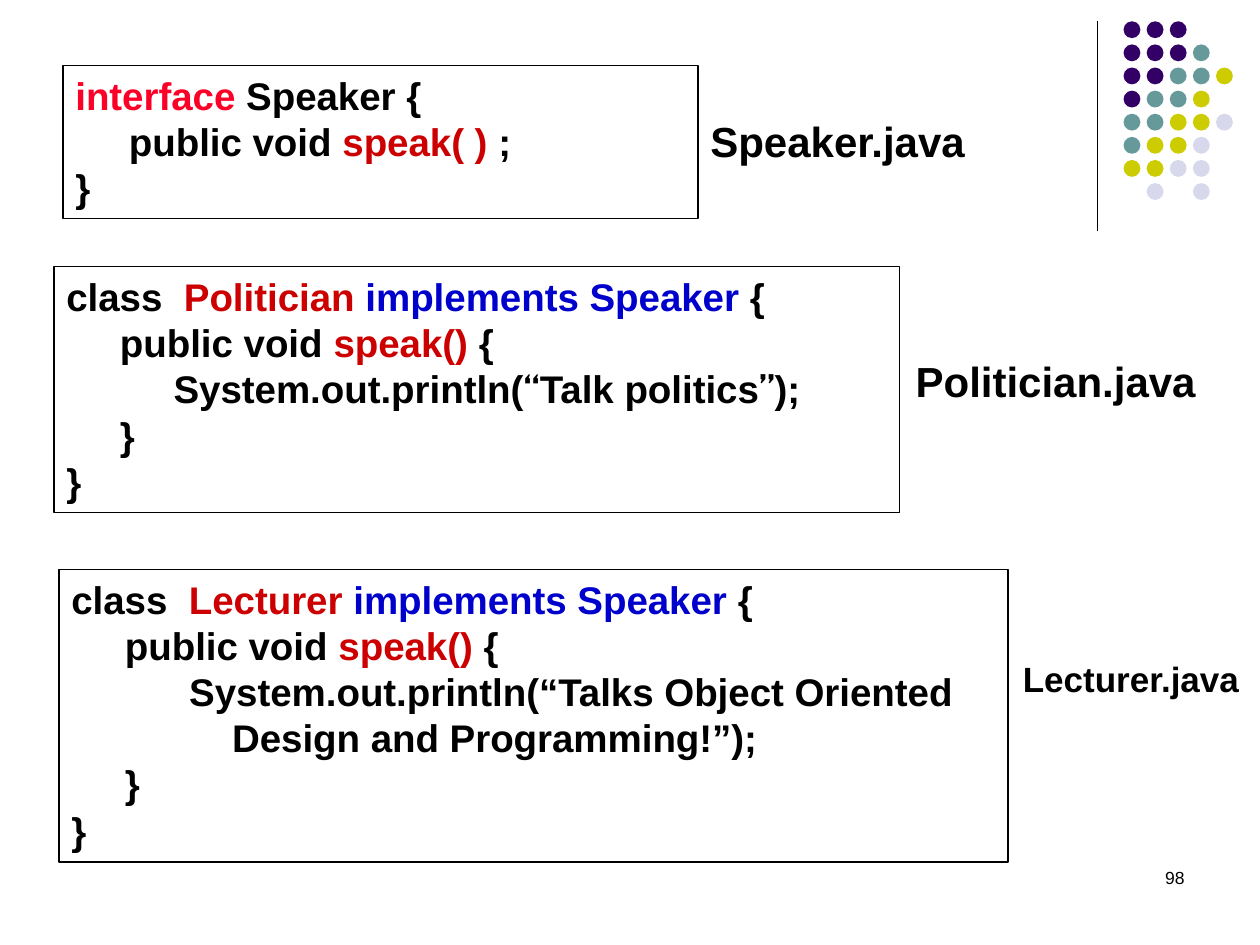
from pptx import Presentation
from pptx import util as u
from pptx.dml.color import RGBColor
from pptx.enum import shapes, text
from lxml import etree

BLACK, RED, BRIGHT_RED, BLUE = "000000", "CC0000", "FC0128", "0000CC"
TAB = 1.08
DOT_COLOURS = {"P": "330066", "T": "669999", "Y": "CCCC00", "L": "D8D8EC"}
DOT_ROWS = ["PPP", "PPPT", "PPTTY", "PTTY", "TTYYL", "TYYL", "YYLL", " L L"]


def colour(value):
    return RGBColor.from_string(value)


def add_text(paragraph, content, size, value=BLACK, font="Arial", bold=True):
    run = paragraph.add_run()
    run.text = content
    run.font.size = u.Pt(size)
    run.font.name = font
    run.font.bold = bold
    run.font.color.rgb = colour(value)


def indent(paragraph, first, rest):
    """Set the left edge of the first line and of the lines it wraps to."""
    properties = paragraph._p.get_or_add_pPr()
    properties.set("marL", str(u.Cm(rest)))
    properties.set("indent", str(u.Cm(first) - u.Cm(rest)))


def add_code_box(slide, left, top, width, height, lines):
    """Each line is (first edge, wrapped edge, runs), edges counted in tabs."""
    box = slide.shapes.add_shape(shapes.MSO_SHAPE.RECTANGLE, u.Cm(left), u.Cm(top),
                                 u.Cm(width), u.Cm(height))
    box.shadow.inherit = False
    box.fill.background()
    box.line.color.rgb = colour(BLACK)
    box.line.width = u.Pt(0.75)
    frame = box.text_frame
    frame.word_wrap = True
    frame.vertical_anchor = text.MSO_ANCHOR.TOP
    for number, (first, rest, runs) in enumerate(lines):
        paragraph = frame.paragraphs[0] if number == 0 else frame.add_paragraph()
        paragraph.alignment = text.PP_ALIGN.LEFT
        indent(paragraph, first * TAB, rest * TAB)
        for content, *style in runs:
            add_text(paragraph, content, 22, *style)


def add_label(slide, left, top, width, height, content, size,
              bold=True, alignment=text.PP_ALIGN.LEFT):
    box = slide.shapes.add_textbox(u.Cm(left), u.Cm(top), u.Cm(width), u.Cm(height))
    box.text_frame.word_wrap = True
    paragraph = box.text_frame.paragraphs[0]
    paragraph.alignment = alignment
    add_text(paragraph, content, size, bold=bold)


def add_divider(slide):
    line = slide.shapes.add_connector(shapes.MSO_CONNECTOR.STRAIGHT, u.Cm(22.12),
                                      u.Cm(0.43), u.Cm(22.12), u.Cm(4.65))
    line.line.color.rgb = colour(BLACK)
    line.line.width = u.Pt(0.75)
    namespace = "{http://schemas.openxmlformats.org/drawingml/2006/main}"
    etree.SubElement(line._element.spPr, namespace + "effectLst")


def add_dot_pattern(slide, left=22.65, top=0.43, pitch=0.466, diameter=0.34):
    group = slide.shapes.add_group_shape()
    for row, letters in enumerate(DOT_ROWS):
        for column, letter in enumerate(letters):
            if letter == " ":
                continue
            dot = group.shapes.add_shape(
                shapes.MSO_SHAPE.OVAL, u.Cm(left + column * pitch),
                u.Cm(top + row * pitch), u.Cm(diameter), u.Cm(diameter))
            dot.shadow.inherit = False
            dot.fill.solid()
            dot.fill.fore_color.rgb = colour(DOT_COLOURS[letter])
            dot.line.fill.background()


def class_lines(name, statement):
    """Wrap a print statement in a class that implements Speaker."""
    return [
        (0, 0, [("class  ",), (name + " ", RED), ("implements Speaker", BLUE), (" {",)]),
        (1, 1, [("public void ",), ("speak() ", RED), ("{",)]),
        statement,
        (1, 1, [("}",)]),
        (0, 0, [("}",)]),
    ]


def main():
    presentation = Presentation()
    presentation.slide_width, presentation.slide_height = u.Cm(25.4), u.Cm(19.05)
    slide = presentation.slides.add_slide(presentation.slide_layouts[6])

    add_divider(slide)
    add_dot_pattern(slide)
    add_label(slide, 18.2, 17.35, 5.93, 1.27, "98", 10, False, text.PP_ALIGN.RIGHT)

    interface = [
        (0, 0, [("interface", BRIGHT_RED), (" Speaker {",)]),
        (1, 1, [("public void ",), ("speak( ) ", RED), (";",)]),
        (0, 0, [("}",)]),
    ]
    politics = (2, 2, [("System.out.println(",), ("“", BLACK, "Cabin"),
                       ("Talk politics",), ("”", BLACK, "Cabin"), (");",)])
    lecture = (2.2, 3, [("System.out.println(“Talks Object Oriented "
                         "Design and Programming!”);",)])
    add_code_box(slide, 1.19, 11.48, 19.13, 5.9, class_lines("Lecturer", lecture))
    add_code_box(slide, 1.27, 1.32, 12.8, 3.08, interface)
    add_code_box(slide, 1.09, 5.38, 17.05, 4.96, class_lines("Politician", politics))

    add_label(slide, 14.07, 2.21, 7.21, 1.27, "Speaker.java", 24)
    add_label(slide, 18.21, 7.04, 6.71, 1.27, "Politician.java", 24)
    add_label(slide, 20.37, 13.13, 5, 1.11, "Lecturer.java", 20)

    presentation.save("out.pptx")


if __name__ == "__main__":
    main()
